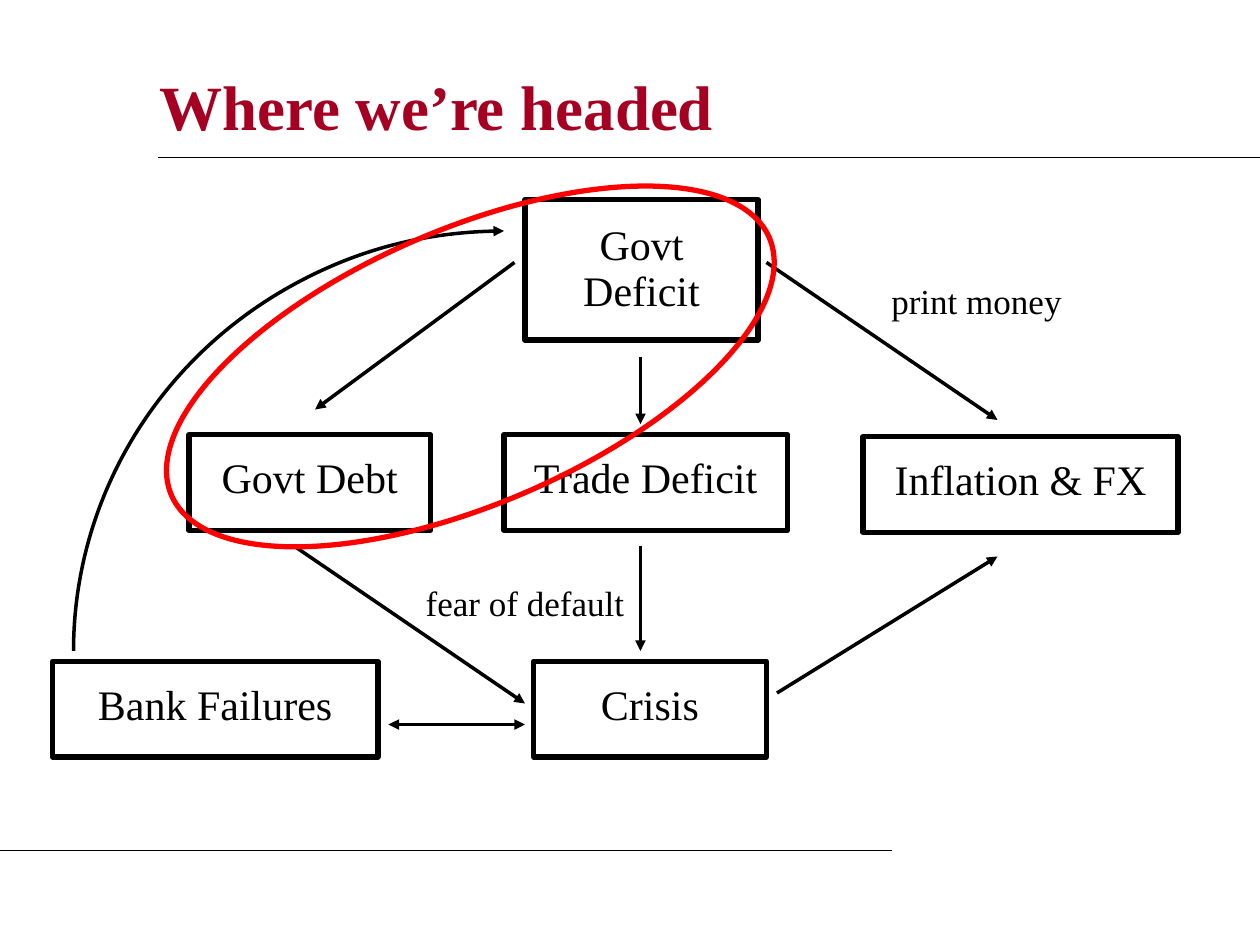
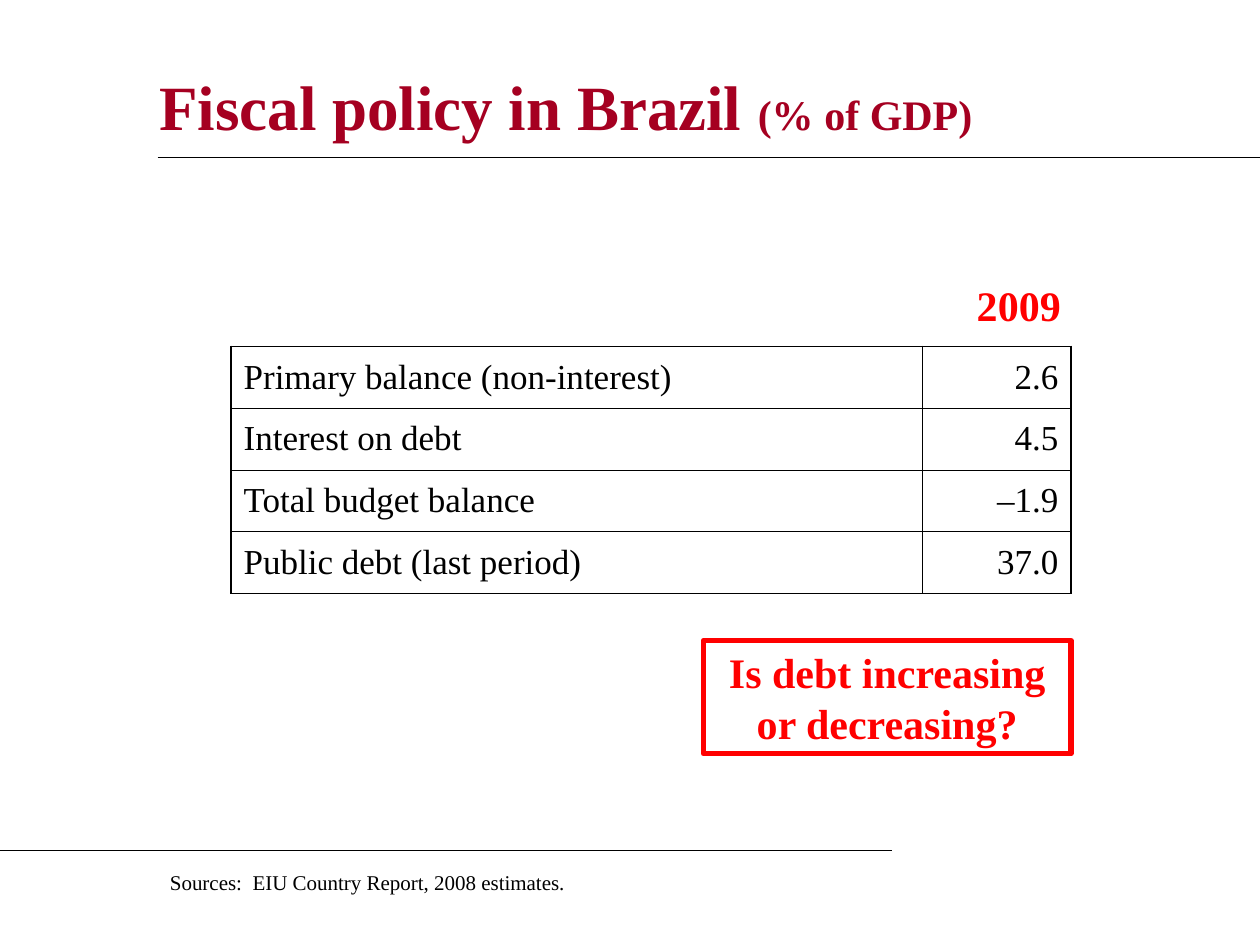
"""Two slides on fiscal policy: a map of how crises spread and a table for Brazil."""
from lxml.etree import SubElement
from pptx import Presentation
from pptx.dml.color import RGBColor
from pptx.enum.shapes import MSO_CONNECTOR, MSO_SHAPE
from pptx.enum.text import MSO_ANCHOR, MSO_AUTO_SIZE, PP_ALIGN
from pptx.oxml.ns import qn
from pptx.util import Inches, Pt

WIDTH, HEIGHT = Inches(10), Inches(7.5)
COLUMNS, ROWS = 120, 90
BLACK, CRIMSON, RED = "000000", "A50021", "FF0000"
LEFT, CENTER, RIGHT = PP_ALIGN.LEFT, PP_ALIGN.CENTER, PP_ALIGN.RIGHT
NODE_ROWS = 9.1


def color(hex_code):
    return RGBColor.from_string(hex_code)


def assign(target, values):
    for name, value in values.items():
        setattr(target, name, value)


class Deck:
    """Holds the shared style and the current slide, and draws on its grid."""

    font = "Times New Roman"
    thin, arrow, frame = 0.75, 2, 3
    cell_inner, cell_outer = 0.45, 1.08

    def __init__(self):
        self.show = Presentation()
        assign(self.show, {"slide_width": WIDTH, "slide_height": HEIGHT})
        self.slide = None

    def place(self, left, top, width, height):
        return self.across(left), self.down(top), self.across(width), self.down(height)

    def across(self, columns):
        return round(WIDTH * columns / COLUMNS)

    def down(self, rows):
        return round(HEIGHT * rows / ROWS)

    def new_slide(self, *title_parts, title_columns):
        self.slide = self.show.slides.add_slide(self.show.slide_layouts[6])
        self.text((14, 5, title_columns, 10), *title_parts, ink=CRIMSON, bold=True,
                  anchor=MSO_ANCHOR.MIDDLE, fit=MSO_AUTO_SIZE.NONE)
        self.line((15, 15), (COLUMNS, 15), self.thin)
        self.line((0, 81), (85, 81), self.thin)

    def typeset(self, frame, parts, ink=BLACK, bold=False, align=LEFT, spacing=None):
        paragraph = frame.paragraphs[0]
        assign(paragraph, {"alignment": align, "line_spacing": spacing})
        for words, size in parts:
            run = paragraph.add_run()
            run.text = words
            assign(run.font, {"name": self.font, "size": Pt(size), "bold": bold})
            run.font.color.rgb = color(ink)

    def text(self, area, *parts, anchor=MSO_ANCHOR.TOP,
             fit=MSO_AUTO_SIZE.SHAPE_TO_FIT_TEXT, **style):
        frame = self.slide.shapes.add_textbox(*self.place(*area)).text_frame
        assign(frame, {"word_wrap": True, "auto_size": fit, "vertical_anchor": anchor})
        self.typeset(frame, parts, **style)

    def outline(self, kind, area, ink=BLACK, weight=frame):
        shape = self.slide.shapes.add_shape(kind, *self.place(*area))
        shape.shadow.inherit = False
        shape.fill.background()
        shape.line.color.rgb = color(ink)
        shape.line.width = Pt(weight)
        return shape

    def box(self, area, *parts, ink=BLACK, margins=(0.1, 0.05), **style):
        frame = self.outline(MSO_SHAPE.RECTANGLE, area, ink).text_frame
        side, edge = map(Inches, margins)
        assign(frame, {
            "word_wrap": True, "vertical_anchor": MSO_ANCHOR.TOP,
            "auto_size": MSO_AUTO_SIZE.SHAPE_TO_FIT_TEXT,
            "margin_left": side, "margin_right": side,
            "margin_top": edge, "margin_bottom": edge})
        self.typeset(frame, parts, ink=ink, align=CENTER, **style)

    def ellipse(self, area, rotation, ink):
        self.outline(MSO_SHAPE.OVAL, area, ink).rotation = rotation

    def arc(self, area, start, end):
        curve = self.outline(MSO_SHAPE.ARC, area, weight=self.arrow)
        for index, degrees in enumerate((start, end)):
            curve.adjustments[index] = degrees * 0.6
        self.arrowheads(curve, ["tailEnd"])

    def line(self, start, end, weight, heads=()):
        ends = [place(value) for point in (start, end)
                for place, value in zip((self.across, self.down), point)]
        link = self.slide.shapes.add_connector(MSO_CONNECTOR.STRAIGHT, *ends)
        link.line.color.rgb = color(BLACK)
        link.line.width = Pt(weight)
        SubElement(link.element.spPr, qn("a:effectLst"))
        self.arrowheads(link, heads)

    def arrowheads(self, shape, heads):
        stroke = shape.element.spPr.find(qn("a:ln"))
        for head in heads:
            SubElement(stroke, qn(f"a:{head}"), type="triangle")

    def table(self, corner, widths, row_height, records, size):
        area = (*corner, sum(widths), row_height * len(records))
        grid = self.slide.shapes.add_table(
            len(records), len(widths), *self.place(*area)).table
        assign(grid, {"first_row": False, "horz_banding": False})
        for column, width in zip(grid.columns, widths):
            column.width = self.across(width)
        for r, record in enumerate(records):
            grid.rows[r].height = self.down(row_height)
            for c, value in enumerate(record):
                cell = grid.cell(r, c)
                cell.vertical_anchor = MSO_ANCHOR.MIDDLE
                self.typeset(cell.text_frame, [(value, size)], align=RIGHT if c else LEFT)
                self.borders(cell, {"lnL": c == 0, "lnR": c == len(widths) - 1,
                                    "lnT": r == 0, "lnB": r == len(records) - 1})
                cell.fill.background()

    def borders(self, cell, sides):
        properties = cell._tc.get_or_add_tcPr()
        for side, is_outer in sides.items():
            weight = Pt(self.cell_outer if is_outer else self.cell_inner)
            edge = SubElement(properties, qn(f"a:{side}"), w=str(weight))
            fill = SubElement(edge, qn("a:solidFill"))
            SubElement(fill, qn("a:srgbClr"), val=BLACK)


def crisis_map(deck):
    deck.new_slide(("Where we’re headed", 36), title_columns=97)
    nodes = [
        ("Govt Deficit", 50, 19, 22.2, 13.4),
        ("Govt Debt", 18, 41.4, 23, NODE_ROWS),
        ("Trade Deficit", 48, 41.4, 27, NODE_ROWS),
        ("Inflation & FX", 82.2, 41.6, 30, NODE_ROWS),
        ("Bank Failures", 5, 63, 31, NODE_ROWS),
        ("Crisis", 50.8, 63, 22.2, NODE_ROWS),
    ]
    for name, *area in nodes:
        deck.box(area, (name, 24), margins=(0.2, 0.2), spacing=0.9)

    effects = [
        ((73, 25), (95, 40)),
        ((49, 25), (30, 39)),
        ((61, 34), (61, 40.4)),
        ((61, 52), (61, 62)),
        ((28, 52), (50, 67)),
        ((74, 66), (95, 53)),
    ]
    for cause, effect in effects:
        deck.line(cause, effect, deck.arrow, ["tailEnd"])
    deck.line((37, 69), (50, 69), deck.arrow, ["headEnd", "tailEnd"])

    for channel, left, top in [("fear of default", 37, 54.8), ("print money", 80, 26)]:
        deck.text((left, top, 26, 5.3), (channel, 20), align=CENTER)
    deck.arc((7, 22, 82, 80), 180, 270)
    deck.ellipse((13.8, 21.8, 62, 26.2), 336.7, RED)


def brazil_budget(deck):
    deck.new_slide(("Fiscal policy in Brazil ", 36), ("(% of GDP)", 24), title_columns=102)
    deck.text((15, 82.2, 80, 3.6), ("Sources:  EIU Country Report, 2008 estimates.", 12))
    deck.table((22, 33), (65.8, 14.2), 5.88, [
        ("Primary balance (non-interest)", "2.6"),
        ("Interest on debt", "4.5"),
        ("Total budget balance", "–1.9"),
        ("Public debt (last period)", "37.0"),
    ], 20)
    deck.box((67, 61, 35, 10.8), ("Is debt increasing or decreasing?", 24),
             ink=RED, bold=True)
    deck.text((89.2, 26, 13, 6), ("2009", 24), ink=RED, bold=True, align=RIGHT)


def main():
    deck = Deck()
    crisis_map(deck)
    brazil_budget(deck)
    deck.show.save("out.pptx")


if __name__ == "__main__":
    main()
